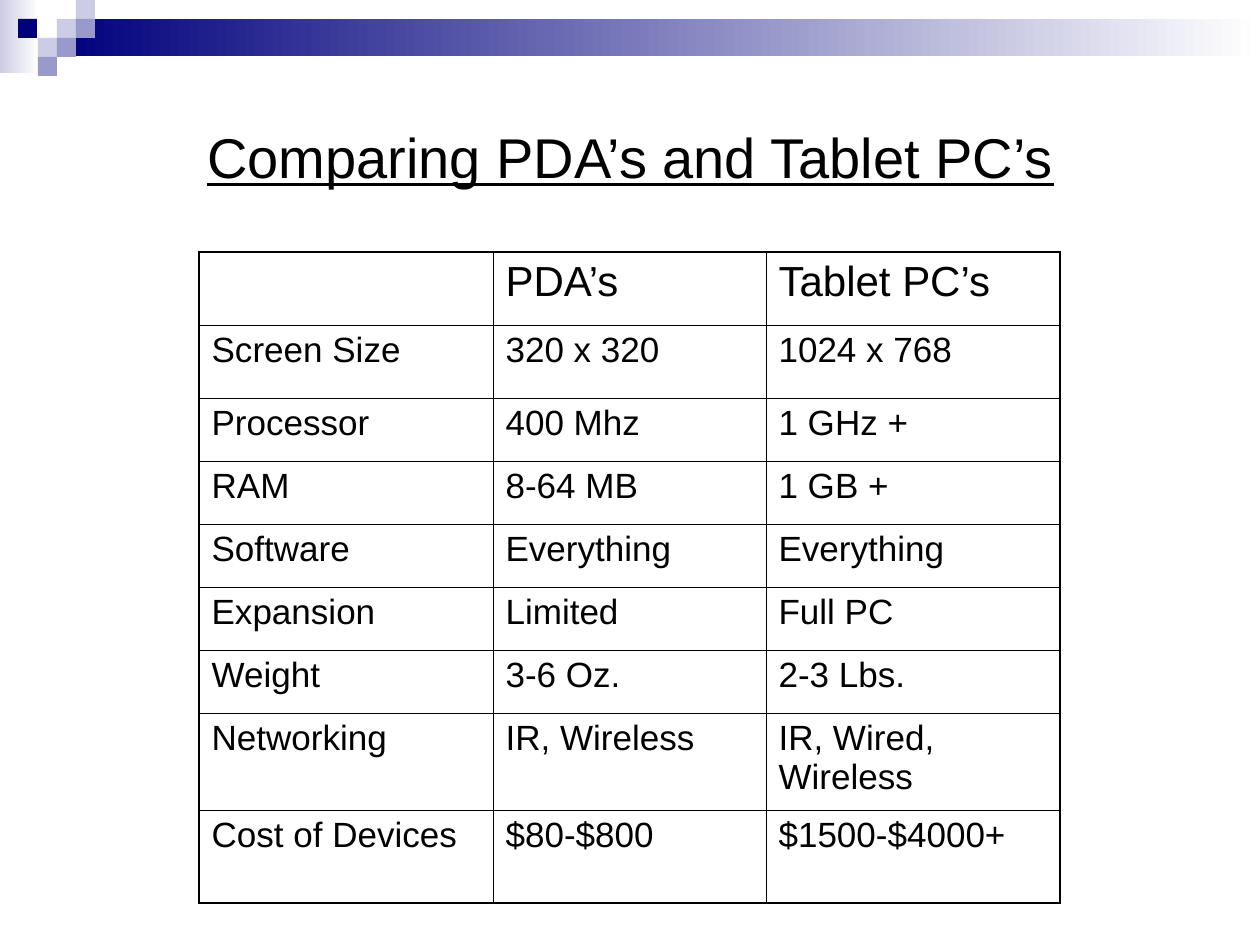
from lxml import etree
from pptx import Presentation
from pptx.dml.color import RGBColor
from pptx.enum.shapes import MSO_SHAPE
from pptx.enum.text import MSO_ANCHOR, MSO_AUTO_SIZE, PP_ALIGN
from pptx.oxml.ns import qn
from pptx.util import Emu, Pt

RECTANGLE = MSO_SHAPE.RECTANGLE
TOP = MSO_ANCHOR.TOP
MIDDLE = MSO_ANCHOR.MIDDLE
CENTER = PP_ALIGN.CENTER
GROW = MSO_AUTO_SIZE.SHAPE_TO_FIT_TEXT

EMU_PER_PX = 914400 / 126
TITLE_ONLY = 5
BLACK, WHITE = "000000", "FFFFFF"
NAVY, LAVENDER, PERIWINKLE = "00007D", "CCCCE6", "9999CC"
THIN, THICK = 0.45, 1.08

SQUARE = 19
SQUARES = [
    (57, 19, LAVENDER),
    (76, 0, LAVENDER),
    (76, 19, PERIWINKLE),
    (38, 38, LAVENDER),
    (18, 19, NAVY),
    (57, 38, PERIWINKLE),
    (38, 57, PERIWINKLE),
]

COLUMN_WIDTHS = [294, 273, 294]
ROW_HEIGHTS = [73, 73] + [63] * 5 + [97, 93]
COMPARISON = [
    ("", "PDA’s", "Tablet PC’s"),
    ("Screen Size", "320 x 320", "1024 x 768"),
    ("Processor", "400 Mhz", "1 GHz +"),
    ("RAM", "8-64 MB", "1 GB +"),
    ("Software", "Everything", "Everything"),
    ("Expansion", "Limited", "Full PC"),
    ("Weight", "3-6 Oz.", "2-3 Lbs."),
    ("Networking", "IR, Wireless", "IR, Wired, Wireless"),
    ("Cost of Devices", "$80-$800", "$1500-$4000+"),
]


def px(length):
    return Emu(round(length * EMU_PER_PX))


def color(value):
    return RGBColor.from_string(value)


class SlideBuilder:
    font_name = "Arial"
    text_color = BLACK

    def __init__(self, slide):
        self.slide = slide

    def style(self, paragraph, size, underline=None):
        font = paragraph.font
        font.name = self.font_name
        font.size = Pt(size)
        font.underline = underline
        font.color.rgb = color(self.text_color)

    def rectangle(self, left, top, width, height, fill, fade_to=None):
        box = self.slide.shapes.add_shape(
            RECTANGLE, px(left), px(top), px(width), px(height))
        box.shadow.inherit = False
        box.line.fill.background()
        if fade_to:
            box.fill.gradient()
            box.fill.gradient_angle = 0
            for stop, value in zip(box.fill.gradient_stops, (fill, fade_to)):
                stop.color.rgb = color(value)
        else:
            box.fill.solid()
            box.fill.fore_color.rgb = color(fill)

    def title(self, text, left, top, width, height, size):
        box = self.slide.shapes.title
        box.left, box.top = px(left), px(top)
        box.width, box.height = px(width), px(height)
        frame = box.text_frame
        frame.text = text
        frame.word_wrap = True
        frame.auto_size = GROW
        frame.vertical_anchor = MIDDLE
        paragraph = frame.paragraphs[0]
        paragraph.alignment = CENTER
        self.style(paragraph, size, underline=True)

    def border(self, cell, side, width):
        properties = cell._tc.get_or_add_tcPr()
        line = etree.SubElement(properties, qn(f"a:ln{side}"), w=str(Pt(width)))
        fill = etree.SubElement(line, qn("a:solidFill"))
        etree.SubElement(fill, qn("a:srgbClr"), val=BLACK)

    def table(self, rows, left, top, widths, heights, header_size, body_size):
        table = self.slide.shapes.add_table(
            len(rows), len(widths), px(left), px(top),
            px(sum(widths)), px(sum(heights))).table
        table.first_row = False
        table.horz_banding = False
        for column, width in zip(table.columns, widths):
            column.width = px(width)
        for row, height in zip(table.rows, heights):
            row.height = px(height)
        last_row, last_column = len(rows) - 1, len(widths) - 1
        for i, texts in enumerate(rows):
            for j, text in enumerate(texts):
                cell = table.cell(i, j)
                cell.text = text
                cell.vertical_anchor = TOP
                self.style(cell.text_frame.paragraphs[0],
                           body_size if i else header_size)
                outer = {"L": j == 0, "R": j == last_column,
                         "T": i == 0, "B": i == last_row}
                for side, is_outer in outer.items():
                    self.border(cell, side, THICK if is_outer else THIN)
                cell.fill.background()


def main():
    deck = Presentation()
    deck.slide_width, deck.slide_height = px(1260), px(945)
    page = SlideBuilder(deck.slides.add_slide(deck.slide_layouts[TITLE_ONLY]))
    page.rectangle(0, 0, 39, 73, LAVENDER, fade_to=WHITE)
    page.rectangle(57, 19, 1203, 37, NAVY, fade_to=WHITE)
    for left, top, fill in SQUARES:
        page.rectangle(left, top, SQUARE, SQUARE, fill)
    page.table(COMPARISON, 199, 252, COLUMN_WIDTHS, ROW_HEIGHTS, 24, 20)
    page.title("Comparing PDA’s and Tablet PC’s", 179, 116, 903, 81, 32)
    deck.save("out.pptx")


if __name__ == "__main__":
    main()
